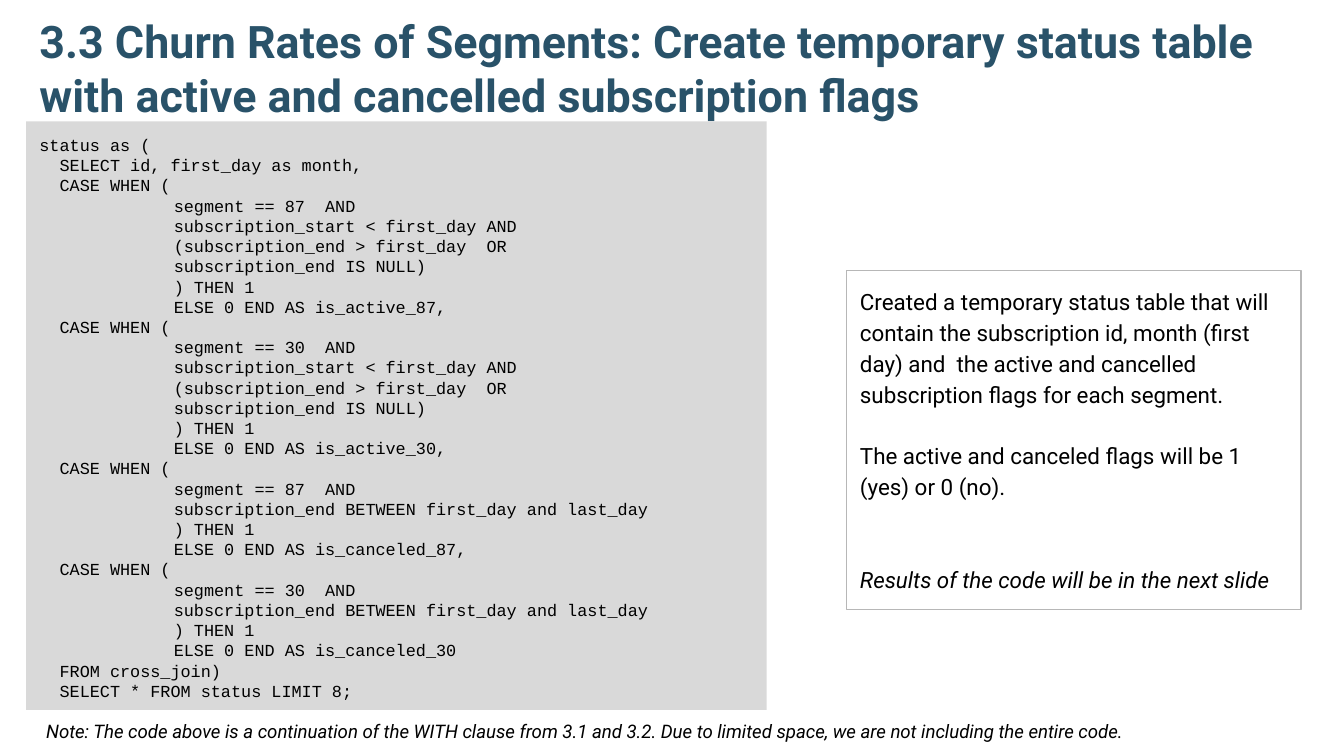
"""Build the slide on the temporary status table with active and cancelled flags."""
from lxml import etree
from pptx import Presentation
from pptx.dml.color import RGBColor
from pptx.enum.shapes import MSO_SHAPE
from pptx.enum.text import MSO_ANCHOR, PP_ALIGN
from pptx.oxml.ns import qn
from pptx.util import Inches, Pt

RECT = MSO_SHAPE.RECTANGLE
TOP, BOTTOM = MSO_ANCHOR.TOP, MSO_ANCHOR.BOTTOM
LEFT = PP_ALIGN.LEFT

THEME = {
    "heading": RGBColor(0x29, 0x52, 0x69),
    "ink": RGBColor(0, 0, 0),
    "panel": RGBColor(0xD9, 0xD9, 0xD9),
    "border": RGBColor(0xB7, 0xB7, 0xB7),
    "sans": "Roboto",
    "mono": "Courier New",
    "title": 24,
    "body": 12,
    "note": 10,
    "code": 9,
}

prs = Presentation()
prs.slide_width, prs.slide_height = Inches(10), Inches(5.625)
s = prs.slides.add_slide(prs.slide_layouts[6])
COL, ROW = prs.slide_width / 100, prs.slide_height / 100


def add_box(col, row, cols, rows, inset=0.1, anchor=TOP, fill=None, line=None):
    sp = s.shapes.add_shape(RECT, *(round(v) for v in (col * COL, row * ROW, cols * COL, rows * ROW)))
    sp.shadow.inherit = False
    for part, color in ((sp.fill, fill), (sp.line.fill, line)):
        if color is None:
            part.background()
        else:
            part.solid()
            part.fore_color.rgb = color
    if line is not None:
        sp.line.width = Pt(0.75)
    tf = sp.text_frame
    tf.word_wrap = True
    tf.vertical_anchor = anchor
    tf.margin_left = tf.margin_right = Inches(0.1)
    tf.margin_top = tf.margin_bottom = Inches(inset)
    return tf


def add_text(tf, lines, size, font="sans", color="ink", bold=False, spacing=1.0):
    for i, (text, italic, gap) in enumerate(lines):
        p = tf.add_paragraph() if i else tf.paragraphs[0]
        p.alignment = LEFT
        p.line_spacing = spacing
        if gap:
            p.space_before = Pt(gap)
        if text.startswith("\t"):
            tabs = etree.SubElement(p._p.get_or_add_pPr(), qn("a:tabLst"))
            etree.SubElement(tabs, qn("a:tab"), pos=str(Inches(1)), algn="l")
        r = p.add_run()
        r.text = text
        r.font.name = THEME[font]
        r.font.size = Pt(THEME[size])
        r.font.bold = bold
        r.font.italic = italic
        r.font.color.rgb = THEME[color]


title = "3.3 Churn Rates of Segments: Create temporary status table with active and cancelled subscription flags"
tf = add_box(1.95, 1.5, 93.2, 16.36, anchor=BOTTOM)
add_text(tf, [(title, False, 0)], "title", color="heading", bold=True)

conditions = {
    "active": [
        "subscription_start < first_day AND",
        "(subscription_end > first_day  OR",
        "subscription_end IS NULL)",
    ],
    "canceled": ["subscription_end BETWEEN first_day and last_day"],
}
code = ["status as (", "  SELECT id, first_day as month,"]
for flag, tests in conditions.items():
    for segment in (87, 30):
        comma = "" if (flag, segment) == ("canceled", 30) else ","
        code.append("  CASE WHEN (")
        code += ["\t" + row for row in (
            f"segment == {segment}  AND", *tests, ") THEN 1",
            f"ELSE 0 END AS is_{flag}_{segment}{comma}")]
code += ["  FROM cross_join)", "  SELECT * FROM status LIMIT 8;"]
tf = add_box(1.95, 16.05, 55.1, 77.87, fill=THEME["panel"])
add_text(tf, [(row, False, 0) for row in code], "code", font="mono")

LINE = 16.5
explanation = [
    ("Created a temporary status table that will contain the subscription id, month (first day) and  "
     "the active and cancelled subscription flags for each segment.", False, 0),
    ("The active and canceled flags will be 1 (yes) or 0 (no).", False, LINE),
    ("Results of the code will be in the next slide", True, 2 * LINE),
]
tf = add_box(63, 35.8, 33.8, 44.8, line=THEME["border"])
add_text(tf, explanation, "body", spacing=1.15)

note = ("Note: The code above is a continuation of the WITH clause from 3.1 and 3.2. "
        "Due to limited space, we are not including the entire code.")
tf = add_box(2.45, 93.87, 93.2, 4.98, inset=0.05)
add_text(tf, [(note, True, 0)], "note", spacing=1.15)

prs.save("out.pptx")
